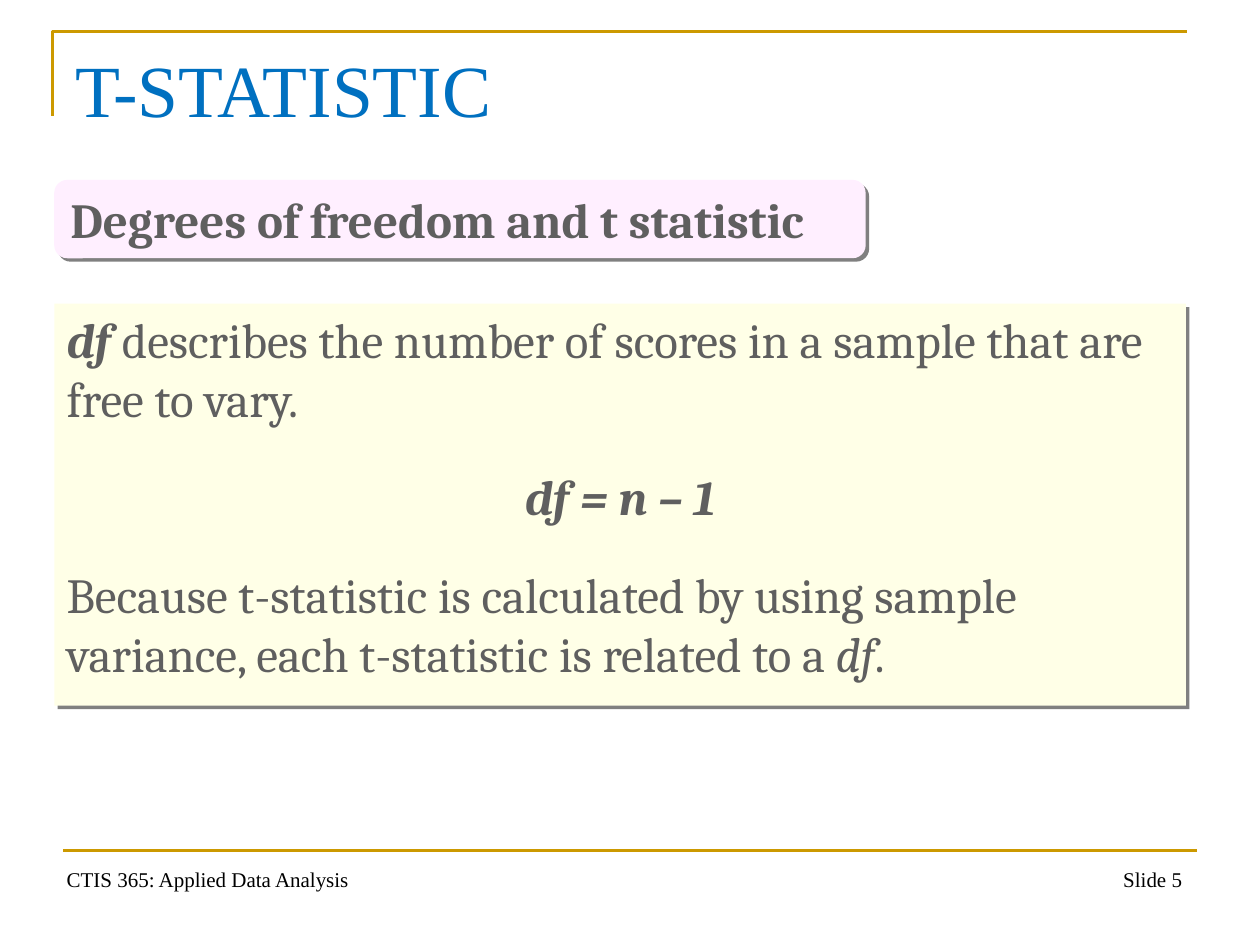
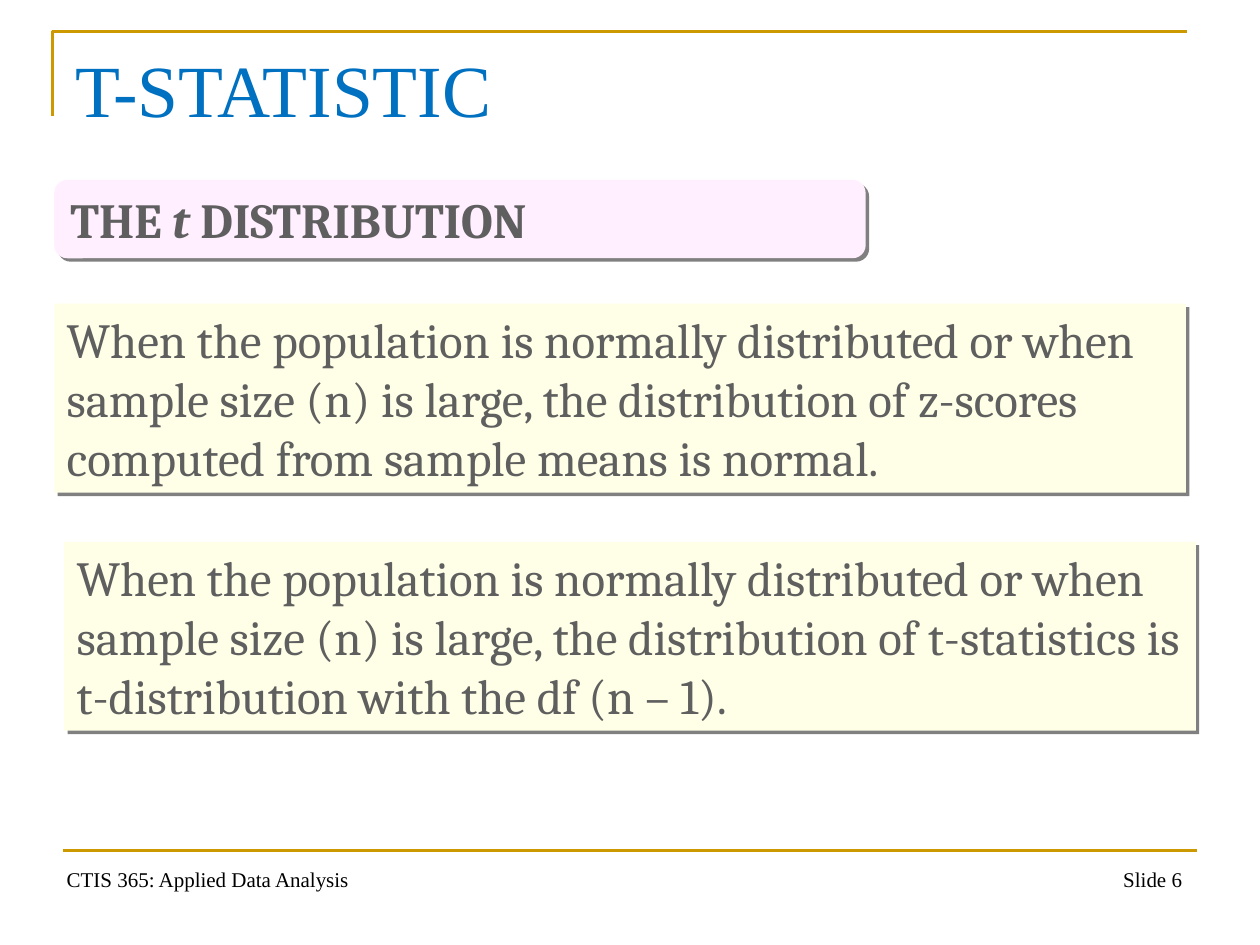
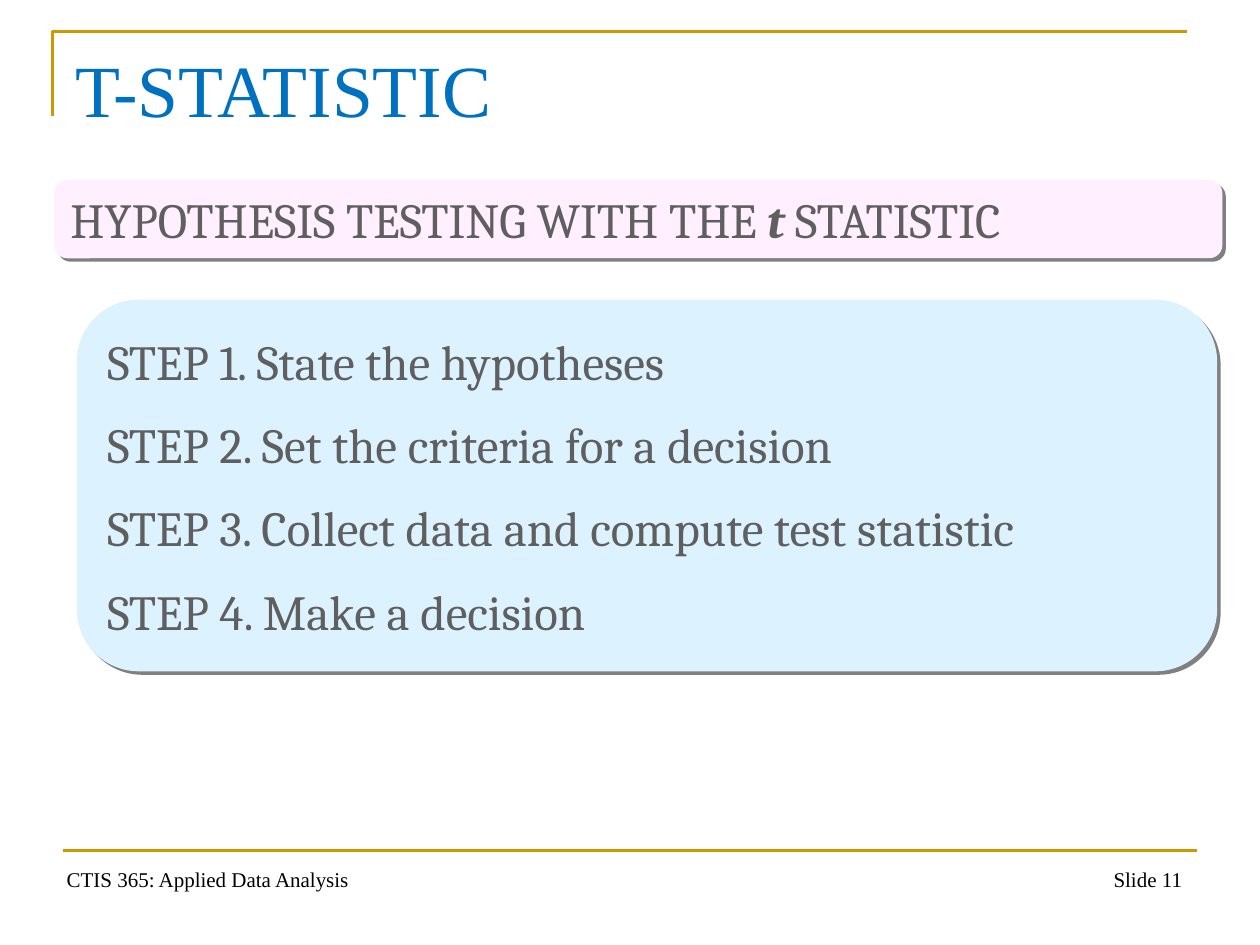
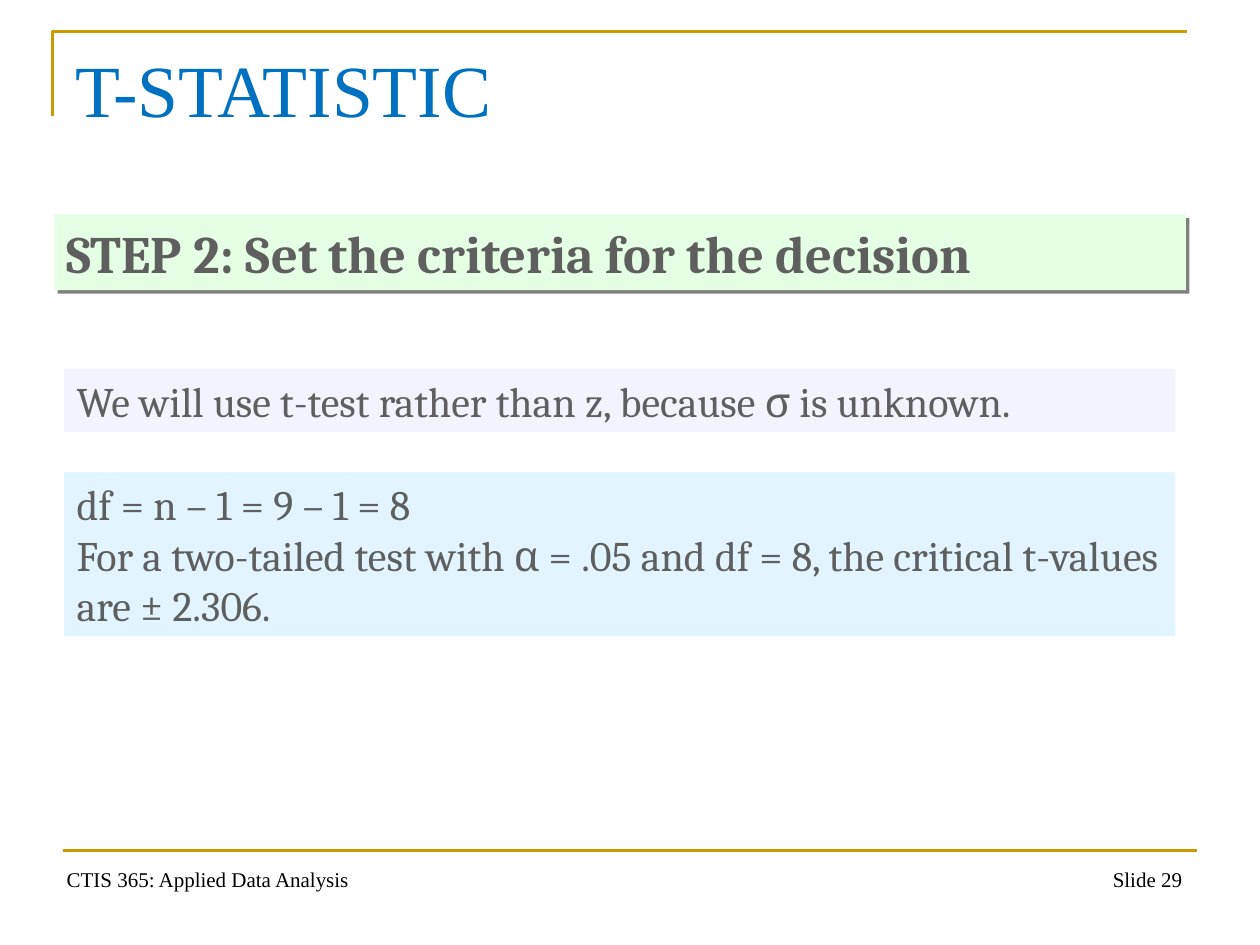
from dataclasses import dataclass

from lxml.etree import SubElement
from pptx import Presentation
from pptx.dml.color import RGBColor
from pptx.enum.shapes import MSO_CONNECTOR, MSO_SHAPE
from pptx.enum.text import MSO_ANCHOR as Anchor, PP_ALIGN as Align
from pptx.oxml.ns import qn
from pptx.util import Pt

GOLD = RGBColor(0xCC, 0x99, 0x00)
BLUE = RGBColor(0x00, 0x70, 0xC0)
BLACK = RGBColor(0x00, 0x00, 0x00)
GREY = RGBColor(0x5F, 0x5F, 0x5F)
SHADOW = RGBColor(0x80, 0x80, 0x80)
PINK = RGBColor(0xFF, 0xEF, 0xFF)
CREAM = RGBColor(0xFF, 0xFF, 0xE7)
SKY = RGBColor(0xDD, 0xF2, 0xFF)
GREEN = RGBColor(0xE5, 0xFF, 0xE5)
LAVENDER = RGBColor(0xF3, 0xF3, 0xFF)
ICE = RGBColor(0xE1, 0xF4, 0xFF)

SERIF = "Times New Roman"
BODY = "Cambria"
LEFT, INDENTED = 31, 36.7
PANEL_TOP, PANEL_WIDTH, PANEL_HEIGHT = 173.5, 646.6, 108
NOTE_WIDTH = 635


@dataclass(frozen=True)
class Span:
    text: str
    bold: bool = False
    italic: bool = False


@dataclass(frozen=True)
class Line:
    spans: tuple[Span, ...]
    align: Align = Align.LEFT


@dataclass(frozen=True)
class TextStyle:
    font: str
    size: float
    color: RGBColor
    anchor: Anchor = Anchor.TOP
    gap: float = 0


@dataclass(frozen=True)
class Box:
    left: float
    top: float
    width: float
    height: float

    def lengths(self) -> tuple[Pt, ...]:
        return Pt(self.left), Pt(self.top), Pt(self.width), Pt(self.height)


@dataclass(frozen=True)
class Panel:
    box: Box
    fill: RGBColor
    lines: tuple[Line, ...]
    style: TextStyle
    preset: MSO_SHAPE = MSO_SHAPE.RECTANGLE
    shadow: bool = True


@dataclass(frozen=True)
class SlideContent:
    number: int
    panels: tuple[Panel, ...]


def plain(text: str, align: Align = Align.LEFT) -> Line:
    return Line((Span(text),), align)


TITLE_STYLE = TextStyle(SERIF, 42, BLUE)
NUMBER_STYLE = TextStyle(SERIF, 12, BLACK)
COURSE_STYLE = TextStyle(SERIF, 12, BLACK, Anchor.BOTTOM)
HEADING_STYLE = TextStyle(BODY, 28, GREY, Anchor.MIDDLE)
STEPS_STYLE = TextStyle(BODY, 28, GREY, Anchor.MIDDLE, gap=14)
PANEL_STYLE = TextStyle(BODY, 28, GREY, gap=22.4)
STEP_STYLE = TextStyle(BODY, 30, GREY)
NOTE_STYLE = TextStyle(BODY, 24, GREY, Anchor.MIDDLE)


def heading(*spans: Span, width: float = 463.7) -> Panel:
    return Panel(Box(LEFT, 102.8, width, 44.8), PINK, (Line(spans),),
                 HEADING_STYLE, MSO_SHAPE.ROUNDED_RECTANGLE)


def explanation(*lines: Line, left: float = LEFT, top: float = PANEL_TOP,
                height: float = PANEL_HEIGHT) -> Panel:
    return Panel(Box(left, top, PANEL_WIDTH, height), CREAM, lines, PANEL_STYLE)


def note(top: float, height: float, fill: RGBColor, *lines: Line) -> Panel:
    return Panel(Box(INDENTED, top, NOTE_WIDTH, height), fill, lines,
                 NOTE_STYLE, shadow=False)


SLIDES = (
    SlideContent(5, (
        heading(Span("Degrees of freedom and t statistic", bold=True)),
        explanation(
            Line((Span("df", bold=True, italic=True),
                  Span(" describes the number of scores in a sample that are free to vary."))),
            Line((Span("df = n – 1", bold=True, italic=True),), Align.CENTER),
            Line((Span("Because t-statistic is calculated by using sample variance, "
                       "each t-statistic is related to a "),
                  Span("df", italic=True), Span("."))),
            height=229.7),
    )),
    SlideContent(6, (
        heading(Span("THE ", bold=True), Span("t ", bold=True, italic=True),
                Span("DISTRIBUTION", bold=True)),
        explanation(plain(
            "When the population is normally distributed or when sample size (n) is large, "
            "the distribution of z-scores computed from sample means is normal.")),
        explanation(plain(
            "When the population is normally distributed or when sample size (n) is large, "
            "the distribution of t-statistics is t-distribution with the df (n – 1)."),
            left=INDENTED, top=309.6),
    )),
    SlideContent(11, (
        heading(Span("HYPOTHESIS TESTING WITH THE "), Span("t", bold=True, italic=True),
                Span(" STATISTIC"), width=667.5),
        Panel(Box(43.9, 171.2, 651.6, 212.4), SKY, (
            plain("STEP 1. State the hypotheses"),
            plain("STEP 2. Set the criteria for a decision"),
            plain("STEP 3. Collect data and compute test statistic"),
            plain("STEP 4. Make a decision"),
        ), STEPS_STYLE, MSO_SHAPE.ROUNDED_RECTANGLE),
    )),
    SlideContent(29, (
        Panel(Box(LEFT, 122.6, PANEL_WIDTH, 43.2), GREEN,
              (Line((Span("STEP 2: Set the criteria for the decision", bold=True),)),),
              STEP_STYLE),
        note(210.8, 36, LAVENDER,
             plain("We will use t-test rather than z, because σ is unknown.")),
        note(270, 93.6, ICE,
             plain("df = n – 1 = 9 – 1 = 8"),
             plain("For a two-tailed test with α = .05 and df = 8, "
                   "the critical t-values are ± 2.306.")),
    )),
)


def write_text(shape, lines: tuple[Line, ...], style: TextStyle) -> None:
    frame = shape.text_frame
    frame.word_wrap = True
    frame.vertical_anchor = style.anchor
    for index, line in enumerate(lines):
        paragraph = frame.add_paragraph() if index else frame.paragraphs[0]
        paragraph.alignment = line.align
        if index:
            paragraph.space_before = Pt(style.gap)
        for span in line.spans:
            run = paragraph.add_run()
            run.text = span.text
            run.font.color.rgb = style.color
            font_format = {"name": style.font, "size": Pt(style.size),
                           "bold": span.bold, "italic": span.italic}
            for name, value in font_format.items():
                setattr(run.font, name, value)


def add_text(slide, box: Box, line: Line, style: TextStyle) -> None:
    write_text(slide.shapes.add_textbox(*box.lengths()), (line,), style)


def add_hard_shadow(shape) -> None:
    """Give the shape an unblurred shadow to the lower right."""
    effects = shape._element.spPr.find(qn("a:effectLst"))
    shadow = SubElement(effects, qn("a:outerShdw"), blurRad="0", dist=str(Pt(2.8)),
                        dir="2700000", algn="ctr", rotWithShape="0")
    SubElement(shadow, qn("a:srgbClr"), val=str(SHADOW))


def add_panel(slide, panel: Panel) -> None:
    shape = slide.shapes.add_shape(panel.preset, *panel.box.lengths())
    shape.fill.solid()
    shape.fill.fore_color.rgb = panel.fill
    shape.line.fill.background()
    shape.shadow.inherit = False
    if panel.shadow:
        add_hard_shadow(shape)
    write_text(shape, panel.lines, panel.style)


def style_rule(shape) -> None:
    shape.line.color.rgb = GOLD
    shape.line.width = Pt(1.5)


def add_frame(slide, number: int) -> None:
    """Draw the gold rules, footer and title that every slide shares."""
    builder = slide.shapes.build_freeform(Pt(30.2), Pt(66.2))
    builder.add_line_segments([(Pt(30.2), Pt(18)), (Pt(678.2), Pt(18))], close=False)
    corner = builder.convert_to_shape()
    corner.fill.background()
    corner.shadow.inherit = False
    style_rule(corner)

    footer_rule = slide.shapes.add_connector(
        MSO_CONNECTOR.STRAIGHT, Pt(36), Pt(486), Pt(684), Pt(486))
    style_rule(footer_rule)
    SubElement(footer_rule._element.spPr, qn("a:effectLst"))

    add_text(slide, Box(LEFT, 491, 228, 22.3),
             plain("CTIS 365: Applied Data Analysis"), COURSE_STYLE)
    add_text(slide, Box(514.8, 491.8, 167.8, 37.4),
             plain(f"Slide {number}", Align.RIGHT), NUMBER_STYLE)
    add_text(slide, Box(36, 21.6, 648, 90), plain("T-STATISTIC"), TITLE_STYLE)


def main() -> None:
    presentation = Presentation()
    presentation.slide_width, presentation.slide_height = Pt(720), Pt(540)
    blank = presentation.slide_layouts[6]
    for content in SLIDES:
        slide = presentation.slides.add_slide(blank)
        add_frame(slide, content.number)
        for panel in content.panels:
            add_panel(slide, panel)
    presentation.save("out.pptx")


if __name__ == "__main__":
    main()
